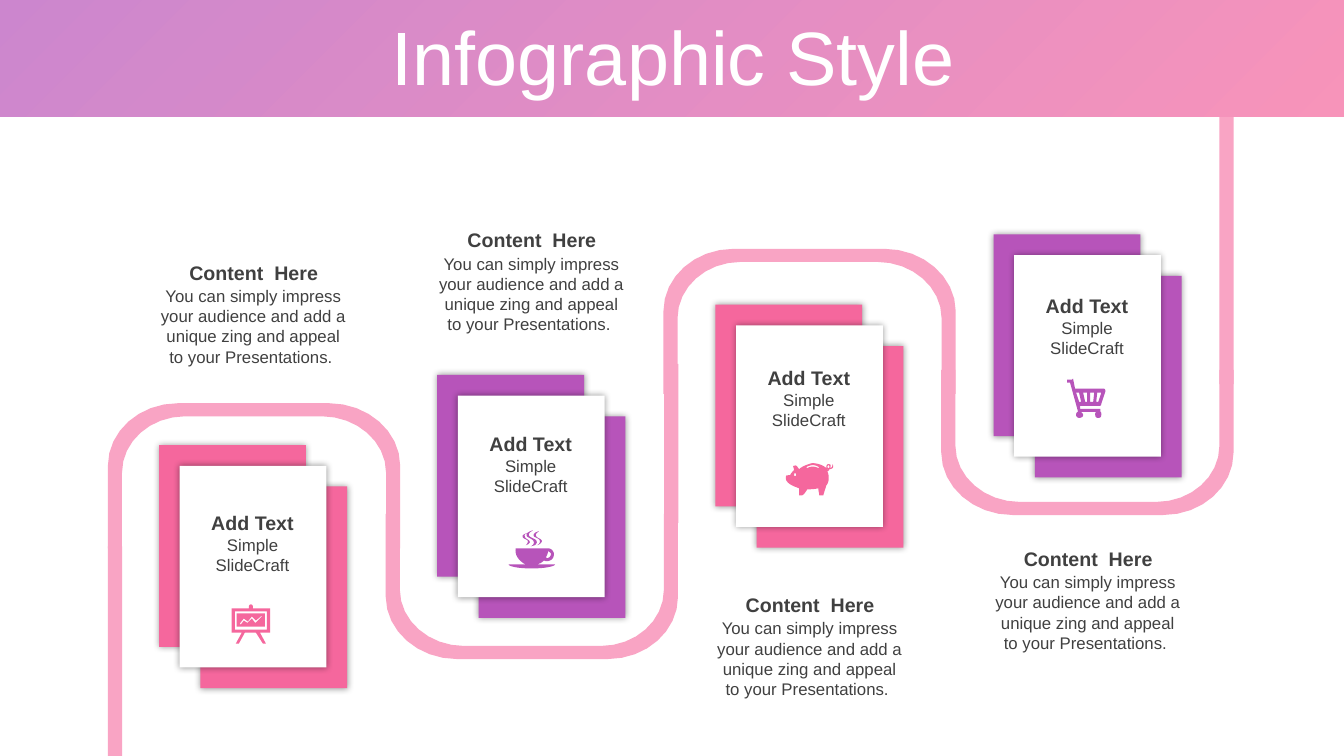
import pptx
import pptx.util
import pptx.dml.color
import pptx.enum.shapes
import pptx.enum.text
import pptx.oxml
import pptx.oxml.ns

Cm = pptx.util.Cm
Pt = pptx.util.Pt
RECT = pptx.enum.shapes.MSO_SHAPE.RECTANGLE
MIDDLE = pptx.enum.text.MSO_ANCHOR.MIDDLE
TOP = pptx.enum.text.MSO_ANCHOR.TOP
FIT = pptx.enum.text.MSO_AUTO_SIZE

COLORS = {"pink": "F5679D", "purple": "B754BA", "track": "F9A4C4",
          "white": "FFFFFF", "text": "404040"}
BLURB = ("You can simply impress your audience and add a unique zing "
         "and appeal to your Presentations. ")
UNIT = Cm(0.0254)  # one step in the outlines below

ARCH = """M 70 0 L 219 0 C 258 0 290 28 290 62 L 290 144 L 276 144 L 276 69
C 276 38 247 13 212 13 L 77 13 C 42 13 14 38 14 69 L 14 144 L 0 144 L 0 62
C 0 28 31 0 70 0"""
EASEL = """M 30 11 L 24 16 L 20 12 L 16 17 L 12 14 L 8 19 L 9 20 L 12 16 L 15 18
L 16 18 L 20 14 L 23 18 L 24 18 L 30 12 M 5 9 L 33 9 L 33 22 L 5 22
M 3 7 L 3 25 L 35 25 L 35 7 M 19 0 C 20 0 21 1 21 2 L 21 4 L 38 4 L 38 28
L 28 28 L 34 39 L 31 39 L 24 28 L 13 28 L 7 39 L 4 39 L 10 28 L 0 28 L 0 4
L 17 4 L 17 2 C 17 1 18 0 19 0"""
CUP = """M 39 21 C 39 23 38 25 37 27 C 38 28 39 28 40 27 C 41 27 42 25 42 23
C 41 22 40 21 39 21 M 39 18 C 42 18 44 20 45 23 C 45 26 44 29 41 30
C 39 31 37 31 35 30 C 34 31 33 32 31 33 C 30 33 29 34 28 34 L 46 34
C 46 36 35 38 23 38 C 10 38 0 36 0 34 L 18 34 C 17 34 15 33 15 33
C 9 29 6 24 7 18 M 18 3 C 17 4 15 4 16 6 C 16 9 21 9 21 12
C 20 14 19 14 17 15 C 18 14 19 13 19 11 C 19 9 15 9 14 7 C 13 5 15 4 18 3
M 30 1 C 28 3 27 3 27 5 C 27 8 33 8 33 11 C 32 13 31 14 28 15
C 30 14 31 13 31 11 C 31 8 27 8 25 6 C 24 4 26 2 30 1
M 24 0 C 22 2 20 2 20 5 C 21 8 28 8 28 12 C 27 15 26 15 22 16
C 24 15 25 14 25 12 C 25 9 20 8 18 6 C 17 3 19 2 24 0"""
PIG = """M 9 10 C 8 10 8 11 8 11 C 8 12 8 13 9 13 C 10 13 10 12 10 11
C 10 11 10 10 9 10 M 42 2 C 42 2 41 3 41 4 C 41 4 42 5 42 5 C 43 5 43 4 43 4
C 43 3 43 2 42 2 M 27 2 C 24 2 22 3 20 4 L 21 5 C 24 3 29 3 32 5 L 33 4
C 31 3 29 2 27 2 M 26 0 C 31 0 37 2 40 5 L 41 7 C 41 6 41 6 41 6
C 40 5 40 5 40 4 C 40 2 41 1 42 1 C 44 1 45 2 44 4 C 44 4 44 4 44 5
C 45 4 46 5 46 1 C 48 4 46 6 43 6 C 43 7 42 8 41 8 L 42 11 C 43 16 42 20 40 22
C 39 26 38 28 37 32 L 33 32 C 33 30 32 27 32 25 C 28 26 23 26 21 26
C 20 28 18 31 16 32 L 13 32 C 13 32 13 27 13 25 C 8 23 -2 20 0 13
C 0 12 2 12 4 12 C 5 10 6 9 8 7 C 8 6 7 3 7 3 C 11 1 11 4 13 6
C 16 3 22 1 26 0"""
CART = """M 30 14 L 29 23 L 31 23 L 34 14 M 23 14 L 23 23 L 26 23 L 27 14
M 16 14 L 18 23 L 20 23 L 20 14 M 9 14 L 12 23 L 14 23 L 12 14
M 6 0 L 8 10 L 36 10 C 38 10 38 11 38 13 L 34 25 C 34 27 33 27 32 27 L 13 27
L 13 30 L 33 30 L 33 33 C 34 33 34 34 34 36 C 34 38 33 39 31 39
C 29 39 28 38 28 36 C 28 34 28 33 30 33 L 14 33 C 15 34 16 35 16 36
C 16 38 14 39 12 39 C 11 39 9 38 9 36 C 9 34 10 33 11 33 L 3 4 L 0 4 L 0 1
L 5 1"""

# colour, label drop, caption top, icon outline, icon offset (cm)
STEPS = [("pink", 1.53, 6.44, EASEL, (1.83, 4.01)),
         ("purple", 1.31, 5.62, CUP, (1.8, 3.91)),
         ("pink", 1.42, 14.81, PIG, (1.78, 3.99)),
         ("purple", 1.37, 13.65, CART, (1.85, 3.63))]


def rgb(name):
    return pptx.dml.color.RGBColor.from_string(COLORS[name])


def paint(shape, color):
    shape.shadow.inherit = False
    shape.fill.solid()
    shape.fill.fore_color.rgb = rgb(color)
    shape.line.fill.background()
    return shape


def block(slide, x, y, w, h, color):
    return paint(slide.shapes.add_shape(RECT, Cm(x), Cm(y), Cm(w), Cm(h)), color)


def glow(shape):
    """Soft dark shadow on all sides."""
    shape.shadow.inherit = False
    effects = shape._element.spPr.find(pptx.oxml.ns.qn("a:effectLst"))
    effects.append(pptx.oxml.parse_xml(
        f'<a:outerShdw {pptx.oxml.ns.nsdecls("a")} blurRad="{Pt(5)}" dist="0" '
        'algn="ctr" rotWithShape="0"><a:srgbClr val="000000">'
        '<a:alpha val="40000"/></a:srgbClr></a:outerShdw>'))


def trace(outline):
    """Turn one outline into points, with curves cut into eight parts."""
    points = []
    for part in outline.replace("L", "|L").replace("C", "|C").split("|"):
        nums = [float(n) * UNIT for n in part.strip("LC \n").split()]
        pairs = list(zip(nums[::2], nums[1::2]))
        if len(pairs) == 1:
            points += pairs
            continue
        a, (b, c, d) = points[-1], pairs
        for t in (i / 8 for i in range(1, 9)):
            s = 1 - t
            points.append(tuple(
                s**3 * a[k] + 3 * s * s * t * b[k] + 3 * s * t * t * c[k] + t**3 * d[k]
                for k in (0, 1)))
    return points


def draw(slide, x, y, outlines, color):
    rings = [trace(part) for part in outlines.split("M")[1:]]
    form = slide.shapes.build_freeform(*rings[0][0], scale=1.0)
    for i, ring in enumerate(rings):
        if i:
            form.move_to(*ring[0])
        form.add_line_segments(ring[1:], close=True)
    return paint(form.convert_to_shape(Cm(x), Cm(y)), color)


def write(frame, text, size=12, bold=False, color="text", fit=FIT.SHAPE_TO_FIT_TEXT,
          anchor=TOP, spacing=1.0):
    frame.word_wrap = True
    frame.auto_size = fit
    frame.vertical_anchor = anchor
    para = frame.paragraphs[0]
    para.alignment = pptx.enum.text.PP_ALIGN.CENTER
    para.line_spacing = spacing
    run = para.add_run()
    run.text = text
    run.font.name = "Arial"
    run.font.size = Pt(size)
    run.font.bold = bold
    run.font.color.rgb = rgb(color)


def label(slide, x, y, w, h, text, **style):
    box = slide.shapes.add_textbox(Cm(x), Cm(y), Cm(w), Cm(h))
    write(box.text_frame, text, **style)


def header(slide, w, h):
    band = block(slide, 0, 0, w, h, "pink")
    band.fill.gradient()
    band.fill.gradient_angle = 135
    for stop, color in zip(band.fill.gradient_stops, ("pink", "purple")):
        stop.color.rgb = rgb(color)
    for tint in band._element.spPr.iter(pptx.oxml.ns.qn("a:srgbClr")):
        tint.append(pptx.oxml.parse_xml(
            f'<a:alpha {pptx.oxml.ns.nsdecls("a")} val="70000"/>'))
    slide.shapes._spTree.insert(2, band._element)  # behind the title
    title = slide.shapes.title
    title.left, title.top, title.width, title.height = Cm(0.89), Cm(0.53), Cm(32.16), Cm(2)
    write(title.text_frame, "Infographic Style", size=54, color="white",
          fit=FIT.NONE, anchor=MIDDLE, spacing=0.9)


def card(slide, x, y, color):
    for shift, tone in ((1.04, color), (0, color), (0.52, "white")):
        glow(block(slide, x + shift, y + shift, 3.7, 5.08, tone))


def track(slide):
    # Arches, every second one upside down
    for i, y in enumerate((10.16, 12.95, 6.27, 9.32)):
        draw(slide, 2.72 + 7.0 * i, y, ARCH, "track").rotation = 180 * (i % 2)
    # Straight runs
    for x, y, h in ((2.72, 13.77, 5.28), (16.74, 9.17, 4.01), (30.73, 2.95, 6.73)):
        block(slide, x, y, 0.36, h, "track")


def caption(slide, x, y):
    label(slide, x + 0.03, y + 0.64, 5.23, 2.31, BLURB)
    label(slide, x, y, 5.31, 0.86, "Content  Here", size=14, bold=True)


def main():
    deck = pptx.Presentation()
    deck.slide_width, deck.slide_height = Cm(33.87), Cm(19.05)
    slide = deck.slides.add_slide(deck.slide_layouts[5])
    header(slide, 33.87, 2.95)
    spots = [(4.01 + 7.01 * i, 11.22 - 1.77 * i) for i in range(len(STEPS))]
    for (x, y), step in zip(spots, STEPS):
        card(slide, x, y, step[0])
    track(slide)
    # Labels, captions and icons
    for (x, y), (color, drop, top, icon, (dx, dy)) in zip(spots, STEPS):
        label(slide, x + 0.82, y + drop, 3.07, 0.86, "Add Text", size=14, bold=True)
        label(slide, x + 0.82, y + drop + 0.6, 3.07, 1.27, "Simple SlideCraft")
        caption(slide, x - 0.27, top)
        draw(slide, x + dx, y + dy, icon, color)
    deck.save("out.pptx")


if __name__ == "__main__":
    main()
